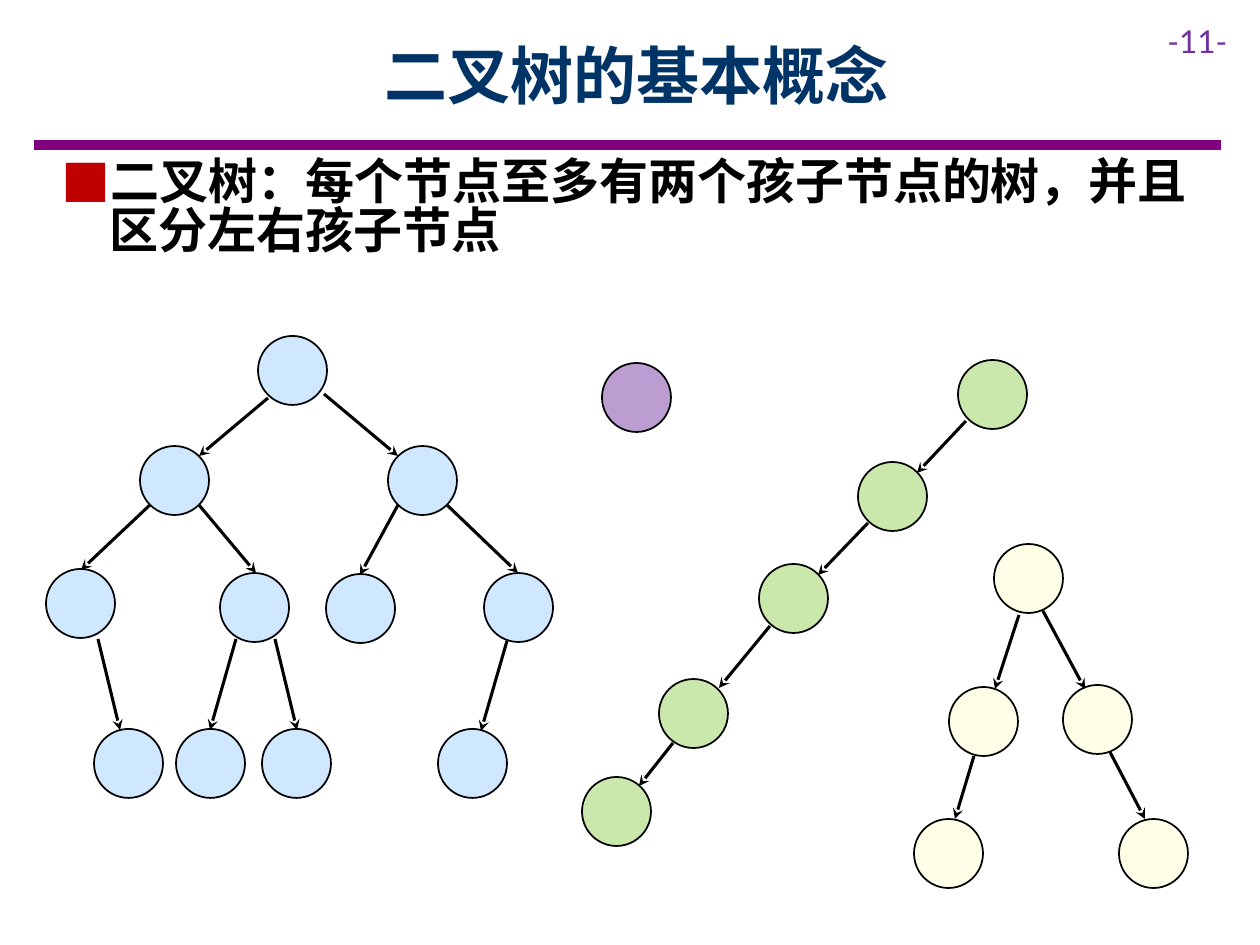
import pptx
import pptx.dml.color
import pptx.enum.shapes
import pptx.enum.text
import pptx.oxml.ns
import pptx.util
import lxml.etree

PX = 914400 // 126
NODE = 69
CJK = "Noto Sans CJK SC"
INK = "000000"


def px(length):
    return pptx.util.Emu(length * PX)


def color(value):
    return pptx.dml.color.RGBColor.from_string(value)


def sub(parent, tag, **attributes):
    return lxml.etree.SubElement(parent, pptx.oxml.ns.qn(tag), attributes)


def add_text(slide, box, text, font=CJK, size=18, fill=INK, bold=False,
             align=pptx.enum.text.PP_ALIGN.LEFT,
             anchor=pptx.enum.text.MSO_ANCHOR.TOP,
             spacing=None, after=0, bullet=None, indent=0):
    frame = slide.shapes.add_textbox(*map(px, box)).text_frame
    frame.word_wrap = True
    frame.vertical_anchor = anchor
    paragraph = frame.paragraphs[0]
    paragraph.alignment = align
    paragraph.space_after = pptx.util.Pt(after)
    if spacing:
        paragraph.line_spacing = spacing
    run = paragraph.add_run()
    run.text = text
    run.font.name = font
    run.font.size = pptx.util.Pt(size)
    run.font.bold = bold
    run.font.color.rgb = color(fill)
    sub(run.font._element, "a:ea", typeface=font)
    if bullet:
        props = paragraph._p.get_or_add_pPr()
        props.set("marL", str(px(indent)))
        props.set("indent", str(-px(indent)))
        sub(sub(props, "a:buClr"), "a:srgbClr", val=bullet)
        sub(props, "a:buFont", typeface=CJK)
        sub(props, "a:buChar", char="■")


def add_line(slide, ends, stroke, width, arrow=False):
    line = slide.shapes.add_connector(
        pptx.enum.shapes.MSO_CONNECTOR.STRAIGHT, *map(px, ends))
    line.line.color.rgb = color(stroke)
    line.line.width = pptx.util.Pt(width)
    if arrow:
        sub(line.line._get_or_add_ln(), "a:tailEnd", type="stealth")
    sub(line._element.spPr, "a:effectLst")


def add_node(slide, left, top, fill):
    node = slide.shapes.add_shape(
        pptx.enum.shapes.MSO_SHAPE.OVAL, px(left), px(top), px(NODE), px(NODE))
    node.shadow.inherit = False
    node.fill.solid()
    node.fill.fore_color.rgb = color(fill)
    tint = node._element.spPr.find(".//" + pptx.oxml.ns.qn("a:srgbClr"))
    sub(tint, "a:alpha", val="47000")
    node.line.color.rgb = color(INK)
    node.line.width = pptx.util.Pt(1)


def add_tree(slide, left, top, fill, nodes, edges=()):
    for x, y in nodes:
        add_node(slide, left + x, top + y, fill)
    for x1, y1, x2, y2 in edges:
        ends = (left + x1, top + y1, left + x2, top + y2)
        add_line(slide, ends, INK, 1.75, arrow=True)


def add_header(slide, left, top, width):
    add_line(slide, (left, top + 134, left + width, top + 134), "800080", 6)
    add_text(slide, (left + 1121, top + 5, 105, 50), "-11-",
             font="Lato", fill="7030A0")
    add_text(slide, (left + 79, top, 1047, 126), "二叉树的基本概念",
             size=36, fill="003366", bold=True,
             align=pptx.enum.text.PP_ALIGN.CENTER,
             anchor=pptx.enum.text.MSO_ANCHOR.MIDDLE)


def add_definition(slide, box):
    add_text(slide, box,
             "二叉树：每个节点至多有两个孩子节点的树，并且区分左右孩子节点",
             size=28, bold=True, spacing=0.82, after=6,
             bullet="C00000", indent=48)


def main():
    deck = pptx.Presentation()
    deck.slide_width = pptx.util.Inches(10)
    deck.slide_height = pptx.util.Inches(7.5)
    slide = deck.slides.add_slide(deck.slide_layouts[6])
    add_header(slide, 34, 11, 1187)
    add_definition(slide, (49, 155, 1186, 131))
    add_tree(slide, 46, 336, "99CCFF",
             [(212, 0), (94, 110), (342, 110),
              (0, 233), (174, 237), (280, 238), (438, 237),
              (48, 393), (130, 393), (216, 393), (392, 393)],
             [(222, 62, 153, 120), (278, 58, 352, 120),
              (104, 169, 35, 234), (153, 169, 210, 237),
              (352, 169, 314, 239), (401, 169, 472, 237),
              (52, 303, 74, 394), (190, 303, 164, 394),
              (229, 303, 251, 394), (461, 305, 435, 395)])
    add_tree(slide, 602, 363, "7030A0", [(0, 0)])
    add_tree(slide, 914, 544, "FFFFCC",
             [(80, 0), (35, 143), (149, 141), (0, 275), (205, 275)],
             [(105, 71, 81, 145), (129, 67, 171, 145),
              (60, 212, 41, 275), (196, 208, 231, 275)])
    add_tree(slide, 582, 360, "92D050",
             [(376, 0), (276, 102), (177, 204), (77, 319), (0, 417)],
             [(384, 61, 335, 113), (286, 163, 236, 215),
              (188, 266, 137, 328), (91, 383, 57, 426)])
    deck.save("out.pptx")


if __name__ == "__main__":
    main()
